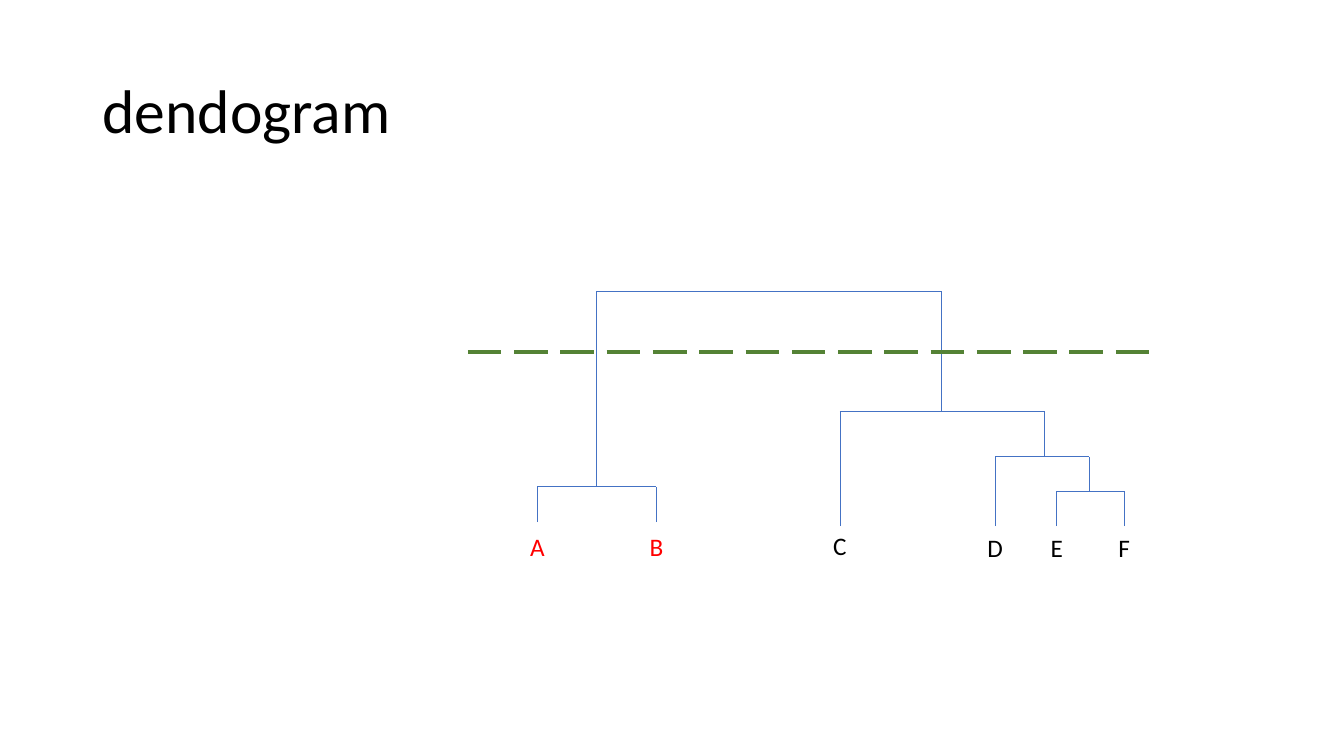
import pptx
import pptx.dml.color
import pptx.enum.dml
import pptx.enum.shapes
import pptx.enum.text
import pptx.util
import lxml.etree

WIDTH, HEIGHT = 13.33, 7.5
FONT = "Calibri"
BLACK, RED, BLUE, GREEN = "000000", "FF0000", "4472C4", "548235"
TITLE = "dendogram"
LEAF_WIDTH, LEAF_HEIGHT = 0.55, 0.4

# leaf: centre, branch end, label top, colour
LEAVES = {
    "A": (5.33, 5.18, 5.22, RED),
    "B": (6.51, 5.18, 5.22, RED),
    "C": (8.33, 5.22, 5.21, BLACK),
    "D": (9.87, 5.22, 5.23, BLACK),
    "E": (10.48, 5.22, 5.23, BLACK),
    "F": (11.15, 5.22, 5.23, BLACK),
}
MERGES = [
    ("A", "B", 5.92, 4.83),
    ("E", "F", 10.8, 4.87),
    ("D", "EF", 10.36, 4.53),
    ("C", "DEF", 9.34, 4.08),
    ("AB", "CDEF", 7.63, 2.89),
]
CUT = (4.64, 11.49, 3.49)


def colour(code):
    return pptx.dml.color.RGBColor.from_string(code)


def add_line(start, end, code, width, dash=None):
    line = slide.shapes.add_connector(
        pptx.enum.shapes.MSO_CONNECTOR.STRAIGHT,
        *map(pptx.util.Inches, start + end))
    line.line.color.rgb = colour(code)
    for attribute, value in {"width": pptx.util.Pt(width), "dash_style": dash}.items():
        setattr(line.line, attribute, value)
    lxml.etree.SubElement(line.line._get_or_add_ln().getparent(),
                          pptx.oxml.ns.qn("a:effectLst"))


def add_text(words, box, size, code, alignment, anchor, spacing=None):
    frame = slide.shapes.add_textbox(*map(pptx.util.Inches, box)).text_frame
    paragraph = frame.paragraphs[0]
    run = paragraph.add_run()
    run.text = words
    run.font.color.rgb = colour(code)
    for target, formats in (
        (frame, {"word_wrap": True, "vertical_anchor": anchor}),
        (paragraph, {"alignment": alignment, "line_spacing": spacing}),
        (run.font, {"size": pptx.util.Pt(size), "name": FONT}),
    ):
        for attribute, value in formats.items():
            setattr(target, attribute, value)


deck = pptx.Presentation()
deck.slide_width = pptx.util.Inches(WIDTH)
deck.slide_height = pptx.util.Inches(HEIGHT)
slide = deck.slides.add_slide(deck.slide_layouts[6])

ALIGN = pptx.enum.text.PP_ALIGN
ANCHOR = pptx.enum.text.MSO_ANCHOR
add_text(TITLE, (0.92, 0.4, 11.5, 1.45), 44, BLACK, ALIGN.LEFT, ANCHOR.MIDDLE, 0.9)

branches = {leaf: (centre, end) for leaf, (centre, end, top, code) in LEAVES.items()}
for left, right, stem, level in MERGES:
    add_line((branches[left][0], level), (branches[right][0], level), BLUE, 0.5)
    for child in (left, right):
        centre, end = branches[child]
        add_line((centre, end), (centre, level), BLUE, 0.5)
    branches[left + right] = (stem, level)

for leaf, (centre, end, top, code) in LEAVES.items():
    add_text(leaf, (centre - LEAF_WIDTH / 2, top, LEAF_WIDTH, LEAF_HEIGHT),
             18, code, ALIGN.CENTER, ANCHOR.TOP)

cut_left, cut_right, cut_level = CUT
add_line((cut_left, cut_level), (cut_right, cut_level), GREEN, 3,
         pptx.enum.dml.MSO_LINE.LONG_DASH)

deck.save("out.pptx")
